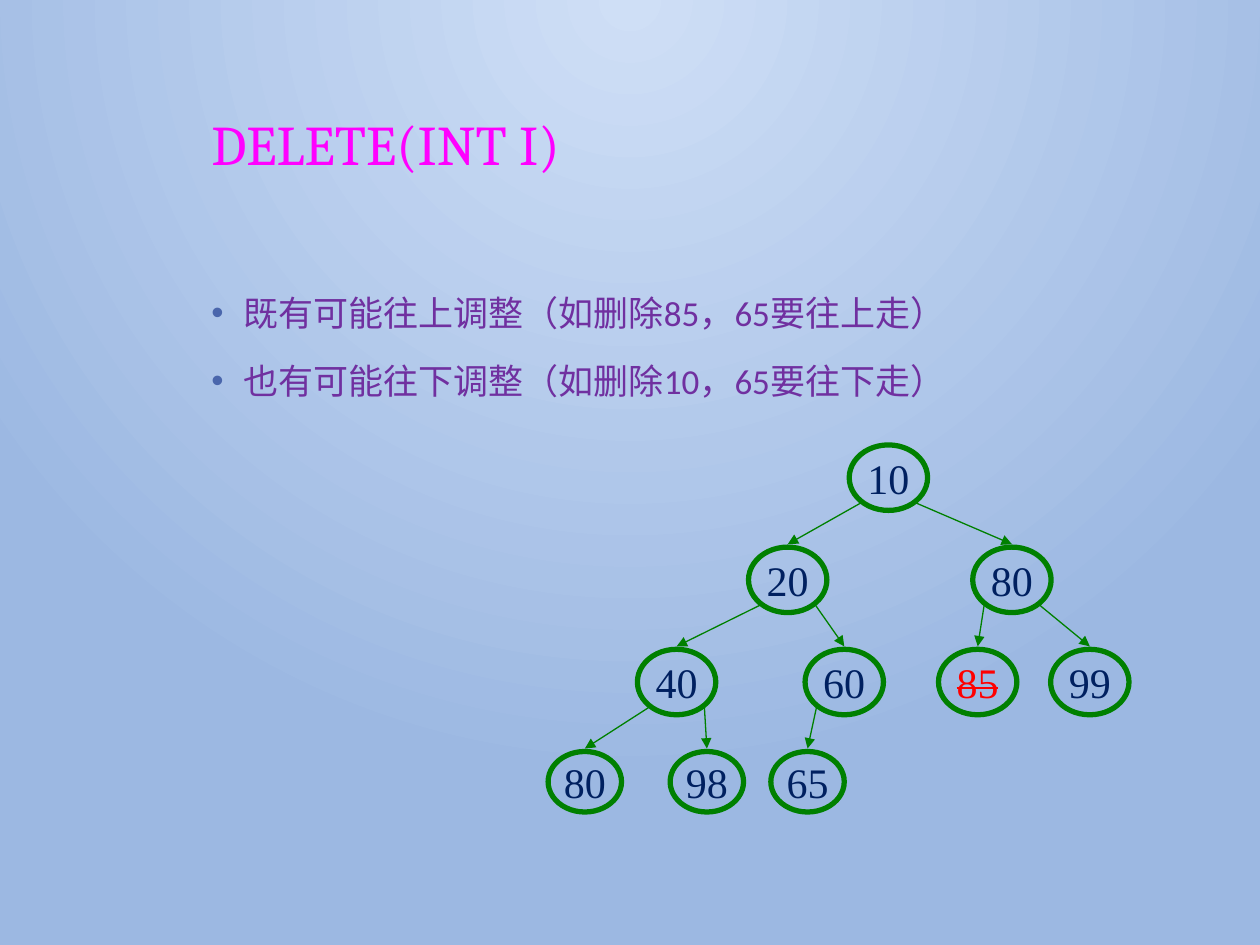
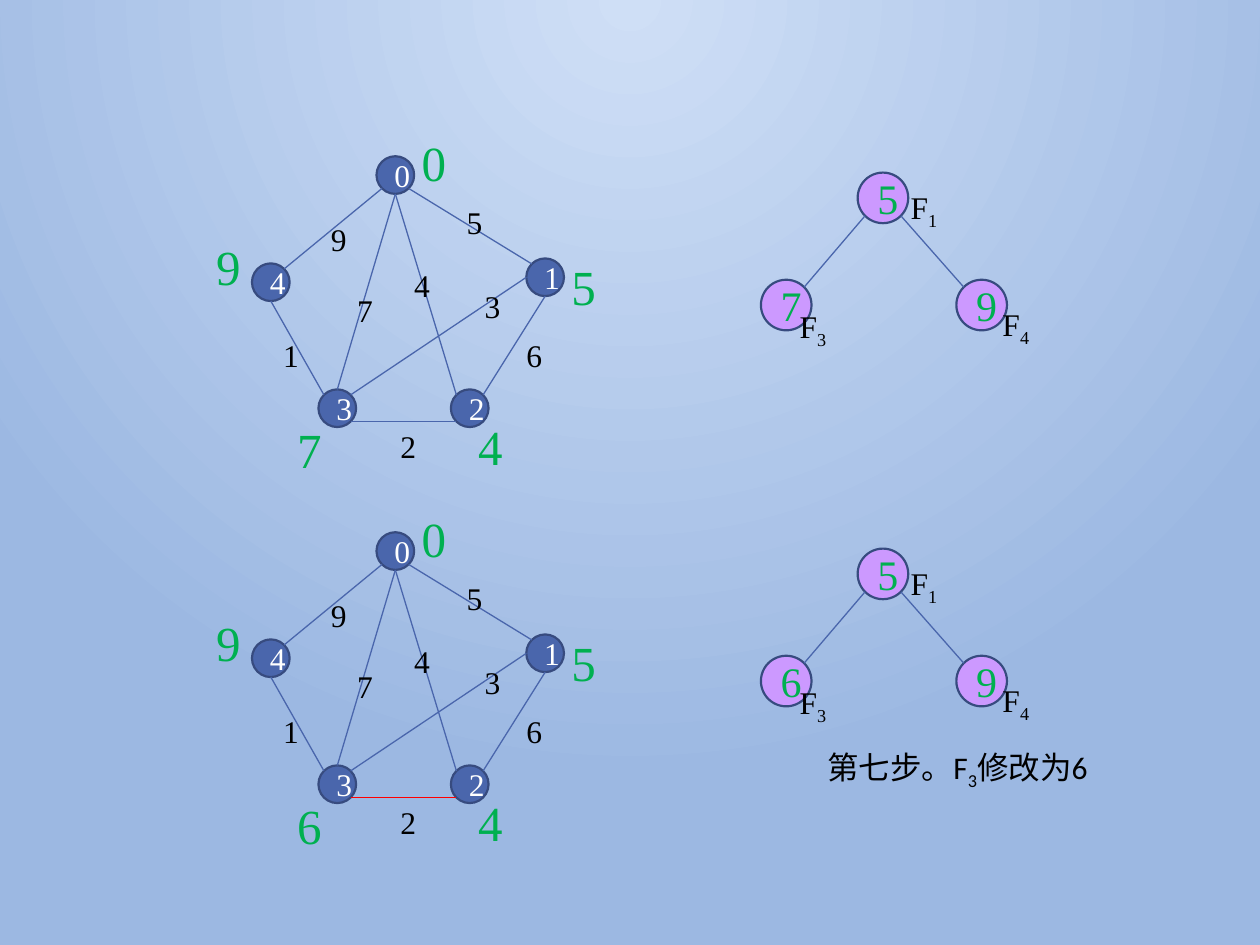
from lxml import etree
from pptx import Presentation
from pptx.dml.color import RGBColor
from pptx.enum.shapes import MSO_CONNECTOR as Connector, MSO_SHAPE as Preset
from pptx.enum.text import MSO_ANCHOR as Anchor, MSO_AUTO_SIZE as AutoSize, PP_ALIGN as Align
from pptx.oxml.ns import qn
from pptx.util import Cm, Pt

COLORS = {
    "glow": "CFDFF6", "sky": "9CB8E2", "title": "FF00FF", "body": "7030A0",
    "accent": "4A66AC", "outline": "374B7F", "heap": "008000", "key": "002060",
    "alert": "FF0000", "distance": "00B050", "violet": "CC99FF",
    "black": "000000", "white": "FFFFFF",
}
SERIF, SANS, TITLE_FONT = "Times New Roman", "Calibri", "Cambria"

# Directions from the centre of an oval to its connection sites
DIAGONAL = 0.71
SITES = {
    "top": (0, -1), "bottom": (0, 1), "left": (-1, 0),
    "top left": (-DIAGONAL, -DIAGONAL), "top right": (DIAGONAL, -DIAGONAL),
    "bottom left": (-DIAGONAL, DIAGONAL), "bottom right": (DIAGONAL, DIAGONAL),
}

# Heap: (key, centre x, row, parent index)
HEAP_NODES = [
    ("10", 6.86, 0, None), ("20", 4.83, 1, 0), ("80", 9.35, 1, 0),
    ("40", 2.59, 2, 1), ("60", 5.97, 2, 1), ("85", 8.66, 2, 2), ("99", 10.92, 2, 2),
    ("80", 0.74, 3, 3), ("98", 3.2, 3, 3), ("65", 5.23, 3, 4),
]
HEAP_ROW_STEP = 2.06
DELETED_KEY = "85"

# Graph: vertex -> centre, and where its distance stands
VERTICES = {"0": (3.86, 0.99), "4": (1.35, 3.15), "3": (2.69, 5.69),
            "2": (5.36, 5.69), "1": (6.88, 3.05)}
DISTANCE_PLACES = {"4": (0, 2.11), "0": (4.14, 0), "3": (1.63, 5.79),
                   "1": (7.16, 2.51), "2": (5.28, 5.74)}
# (start vertex, site, end vertex, site, weight, place of the weight)
GRAPH_EDGES = [
    ("0", "bottom left", "4", "top right", "9", (2.31, 1.78)),
    ("3", "top left", "4", "bottom", "1", (1.35, 4.11)),
    ("1", "top left", "0", "bottom right", "5", (5.05, 1.42)),
    ("2", "bottom left", "3", "bottom right", "2", (3.71, 5.94)),
    ("1", "bottom", "2", "top right", "6", (6.25, 4.11)),
    ("2", "top left", "0", "bottom", "4", (3.99, 2.69)),
    ("3", "top", "0", "bottom", "7", (2.84, 3.2)),
    ("1", "left", "3", "top right", "3", (5.41, 3.12)),
]

# Priority queue: (centre, subscript of F, place of the label, label width)
QUEUE_NODES = [
    ((2.46, 0.51), "1", (2.77, 0.18), 1.4),
    ((0.51, 2.67), "3", (0.53, 2.59), 1.09),
    ((4.45, 2.67), "4", (4.62, 2.54), 1.09),
]


def rgb(name):
    return RGBColor.from_string(COLORS[name])


def add_run(paragraph, text, size, color, font=SERIF, **attributes):
    """Add one run; attributes go onto the run properties (strike, baseline)."""
    run = paragraph.add_run()
    run.text = text
    run.font.size = Pt(size)
    run.font.name = font
    run.font.color.rgb = rgb(color)
    for name, value in attributes.items():
        run._r.get_or_add_rPr().set(name, value)


def add_text_box(shapes, left, top, width, height, wrap=True, grow=True):
    frame = shapes.add_textbox(Cm(left), Cm(top), Cm(width), Cm(height)).text_frame
    frame.auto_size = AutoSize.SHAPE_TO_FIT_TEXT if grow else AutoSize.NONE
    frame.word_wrap = wrap
    return frame


def add_oval(shapes, center, half_width, half_height, line, line_width, fill=None):
    """Add an oval and return its centred paragraph."""
    shape = shapes.add_shape(Preset.OVAL, Cm(center[0] - half_width), Cm(center[1] - half_height),
                             Cm(2 * half_width), Cm(2 * half_height))
    shape.shadow.inherit = False
    if fill:
        shape.fill.solid()
        shape.fill.fore_color.rgb = rgb(fill)
    else:
        shape.fill.background()
    shape.line.color.rgb = rgb(line)
    shape.line.width = Pt(line_width)
    frame = shape.text_frame
    frame.vertical_anchor = Anchor.MIDDLE
    frame.word_wrap = fill is not None
    paragraph = frame.paragraphs[0]
    paragraph.alignment = Align.CENTER
    return paragraph


def site_point(center, half_width, half_height, site):
    dx, dy = SITES[site]
    return center[0] + dx * half_width, center[1] + dy * half_height


def add_line(shapes, start, end, color="accent", arrow=False):
    connector = shapes.add_connector(Connector.STRAIGHT, *(Cm(value) for value in (*start, *end)))
    connector.line.color.rgb = rgb(color)
    connector.line.width = Pt(0.75)
    if arrow:
        etree.SubElement(connector.line._get_or_add_ln(), qn("a:tailEnd"), type="triangle")
    etree.SubElement(connector._element.spPr, qn("a:effectLst"))


def new_slide(presentation):
    """Add a blank slide with the radial sky background."""
    slide = presentation.slides.add_slide(presentation.slide_layouts[6])
    fill = slide.background.fill
    fill.gradient()
    for stop, color in zip(fill.gradient_stops, ("glow", "sky")):
        stop.color.rgb = rgb(color)
    gradient = slide._element.find(".//" + qn("a:gradFill"))
    path = etree.Element(qn("a:path"), path="circle")
    etree.SubElement(path, qn("a:fillToRect"), l="43000", t="0", r="43000", b="100000")
    gradient.replace(gradient.find(qn("a:lin")), path)
    return slide


def add_title(slide, text):
    frame = add_text_box(slide.shapes, 4.01, 2.24, 18.26, 2.92, grow=False)
    paragraph = frame.paragraphs[0]
    paragraph.line_spacing = 0.9
    add_run(paragraph, text, 32, "title", TITLE_FONT)


def add_bullets(slide, lines):
    frame = add_text_box(slide.shapes, 4.01, 5.59, 18.26, 9.58, grow=False)
    for index, line in enumerate(lines):
        paragraph = frame.add_paragraph() if index else frame.paragraphs[0]
        paragraph.line_spacing = 1.2
        paragraph.space_before = Pt(10)
        properties = paragraph._p.get_or_add_pPr()
        properties.set("marL", str(Cm(0.64)))
        properties.set("indent", str(-Cm(0.64)))
        bullet_color = etree.SubElement(properties, qn("a:buClr"))
        etree.SubElement(bullet_color, qn("a:srgbClr"), val=COLORS["accent"])
        etree.SubElement(properties, qn("a:buFont"), typeface="Arial")
        etree.SubElement(properties, qn("a:buChar"), char="•")
        add_run(paragraph, line, 20, "body", SANS)


def add_heap(slide, left, top):
    shapes = slide.shapes.add_group_shape().shapes
    placed = []
    for key, x, row, parent in HEAP_NODES:
        half_width, half_height = (0.74, 0.61) if row == 3 else (0.79, 0.66)
        center = (left + x, top + row * HEAP_ROW_STEP + half_height)
        placed.append((center, half_width, half_height + 0.06))
        paragraph = add_oval(shapes, center, half_width, half_height, "heap", 3)
        if key == DELETED_KEY:
            add_run(paragraph, key, 24, "alert", strike="sngStrike")
        else:
            add_run(paragraph, key, 24, "key")
        if parent is not None:
            side = "bottom left" if x < HEAP_NODES[parent][1] else "bottom right"
            add_line(shapes, site_point(*placed[parent], side),
                     site_point(*placed[-1], "top"), "heap", arrow=True)


def add_graph(slide, left, top, distances, active_edge=None):
    """Draw the weighted graph; active_edge is the pair of vertices in red."""
    shapes = slide.shapes.add_group_shape().shapes
    radius = 0.38
    centers = {name: (left + x, top + y) for name, (x, y) in VERTICES.items()}
    for name, center in centers.items():
        paragraph = add_oval(shapes, center, radius, radius, "outline", 1.25, "accent")
        add_run(paragraph, name, 18, "white")
    for start, start_site, end, end_site, weight, (x, y) in GRAPH_EDGES:
        add_line(shapes, site_point(centers[start], radius, radius, start_site),
                 site_point(centers[end], radius, radius, end_site),
                 "alert" if (start, end) == active_edge else "accent")
        frame = add_text_box(shapes, left + x, top + y, 0.84, 1.02, wrap=False)
        add_run(frame.paragraphs[0], weight, 18, "black")
    for name, (x, y) in DISTANCE_PLACES.items():
        frame = add_text_box(shapes, left + x, top + y, 1.02, 1.45)
        add_run(frame.paragraphs[0], distances[name], 28, "distance")


def add_queue(slide, left, top, distances):
    """Draw the priority queue as a root with two children."""
    shapes = slide.shapes
    radius = 0.51
    centers = [(left + x, top + y) for (x, y), *_ in QUEUE_NODES]
    for center, (_, vertex, _, _) in zip(centers, QUEUE_NODES):
        paragraph = add_oval(shapes, center, radius, radius, "outline", 1.25, "violet")
        add_run(paragraph, distances[vertex], 24, "distance")
    for _, vertex, (x, y), width in QUEUE_NODES:
        frame = add_text_box(shapes, left + x, top + y, width, 1.02, wrap=False)
        add_run(frame.paragraphs[0], "F", 18, "black")
        add_run(frame.paragraphs[0], vertex, 18, "black", baseline="-25000")
    root, *children = centers
    for child, child_side, root_side in zip(children, ("right", "left"), ("left", "right")):
        add_line(shapes, site_point(child, radius, radius, "top " + child_side),
                 site_point(root, radius, radius, "bottom " + root_side))


def add_caption(slide, left, top):
    paragraph = add_text_box(slide.shapes, left, top, 7.34, 1.02).paragraphs[0]
    add_run(paragraph, "第七步。F", 18, "black", SANS)
    add_run(paragraph, "3", 18, "black", SANS, baseline="-25000")
    add_run(paragraph, "修改为6", 18, "black", SANS)


def build_delete_slide(presentation):
    slide = new_slide(presentation)
    add_title(slide, "DELETE(INT I)")
    add_bullets(slide, ["既有可能往上调整（如删除85，65要往上走）",
                        "也有可能往下调整（如删除10，65要往下走）"])
    add_heap(slide, 11.05, 8.97)


def build_update_slide(presentation):
    """Show the graph and its queue before and after the distance of 3 changes."""
    slide = new_slide(presentation)
    add_caption(slide, 16.43, 14.96)
    before = {"0": "0", "1": "5", "2": "4", "3": "7", "4": "9"}
    after = {**before, "3": "6"}
    for step, (distances, active_edge) in enumerate([(before, None), (after, ("2", "3"))]):
        offset = step * 7.58
        add_graph(slide, 4.11, 2.54 + offset, distances, active_edge)
        add_queue(slide, 15.34, 3.48 + offset, distances)


def main():
    presentation = Presentation()
    presentation.slide_width, presentation.slide_height = Cm(25.4), Cm(19.05)
    build_delete_slide(presentation)
    build_update_slide(presentation)
    presentation.save("out.pptx")


if __name__ == "__main__":
    main()
